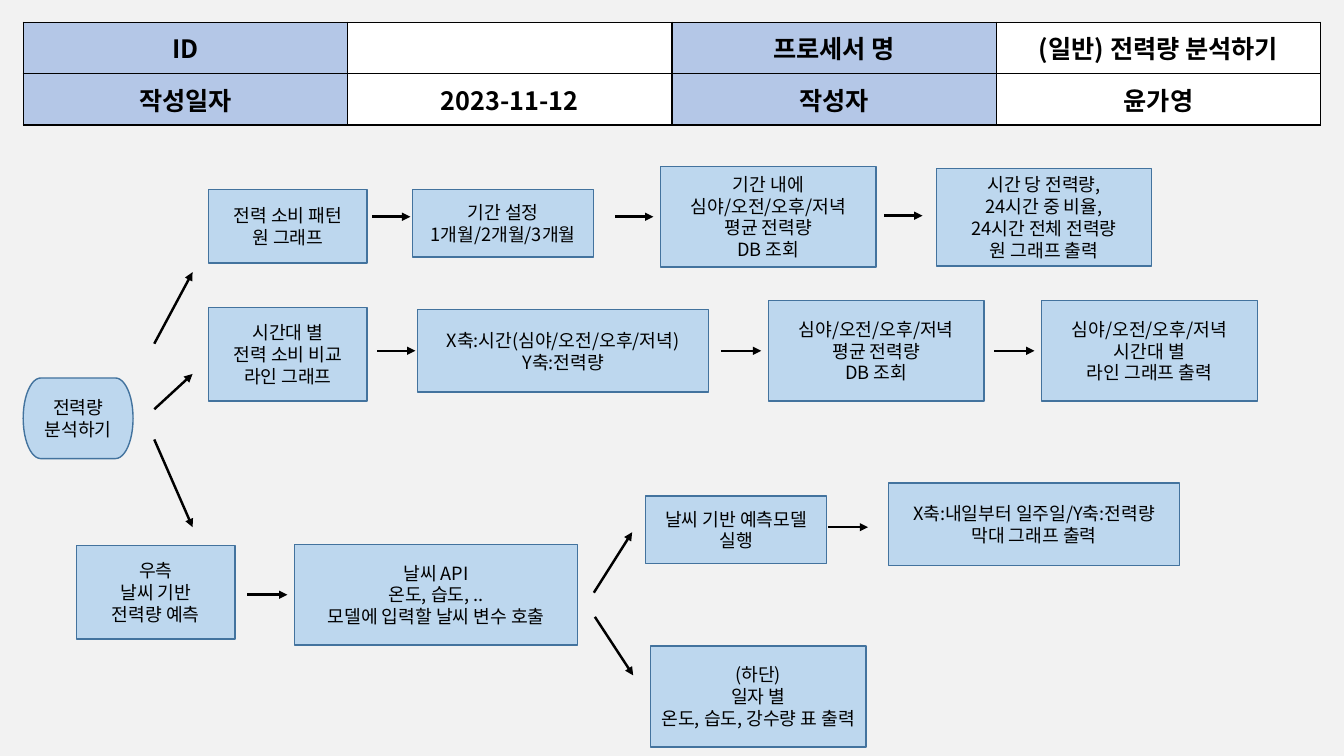
from pptx import Presentation
from pptx.dml.color import RGBColor
from pptx.enum.shapes import MSO_CONNECTOR, MSO_SHAPE
from pptx.enum.text import MSO_ANCHOR, PP_ALIGN
from pptx.oxml import parse_xml
from pptx.oxml.ns import nsdecls, qn
from pptx.util import Inches, Pt


def rgb(color):
    return RGBColor.from_string(color)


def xml(tag, attributes="", inner=""):
    return parse_xml(f'<a:{tag} {nsdecls("a")} {attributes}>{inner}</a:{tag}>')


class FlowSlide:
    """Hold the diagram style and the current slide, and draw its elements."""

    FONT = "Noto Sans CJK KR"
    INK, PAPER, BACKGROUND = "000000", "FFFFFF", "F2F2F2"
    HEADER, BOX, OUTLINE = "B4C7E7", "BDD7EE", "43739E"

    def __init__(self, presentation):
        self.slide = presentation.slides.add_slide(presentation.slide_layouts[6])
        fill = self.slide.background.fill
        fill.solid()
        fill.fore_color.rgb = rgb(self.BACKGROUND)

    def set_text(self, frame, text, size, bold=False):
        frame.word_wrap = True
        for index, line in enumerate(text.split("\n")):
            paragraph = frame.add_paragraph() if index else frame.paragraphs[0]
            paragraph.alignment = PP_ALIGN.CENTER
            run = paragraph.add_run()
            run.text = line
            font = run.font
            font.name, font.size, font.bold = self.FONT, Pt(size), bold
            font.color.rgb = rgb(self.INK)
            run._r.get_or_add_rPr().find(qn("a:latin")).addnext(
                xml("ea", f'typeface="{self.FONT}"'))

    def box(self, left, top, width, height, text, kind=MSO_SHAPE.RECTANGLE):
        shape = self.slide.shapes.add_shape(
            kind, Inches(left), Inches(top), Inches(width), Inches(height))
        shape.shadow.inherit = False
        shape.fill.solid()
        shape.fill.fore_color.rgb = rgb(self.BOX)
        shape.line.color.rgb = rgb(self.OUTLINE)
        shape.line.width = Pt(1)
        shape.text_frame.vertical_anchor = MSO_ANCHOR.MIDDLE
        self.set_text(shape.text_frame, text, 13)

    def arrow(self, x1, y1, x2, y2):
        line = self.slide.shapes.add_connector(
            MSO_CONNECTOR.STRAIGHT, Inches(x1), Inches(y1), Inches(x2), Inches(y2))
        line.line.color.rgb = rgb(self.INK)
        line.line.width = Pt(1.75)
        properties = line._element.spPr
        properties.find(qn("a:ln")).append(xml("tailEnd", 'type="triangle"'))
        properties.append(xml("effectLst"))

    def table(self, left, top, width, height, rows):
        table = self.slide.shapes.add_table(
            len(rows), len(rows[0]), Inches(left), Inches(top),
            Inches(width), Inches(height)).table
        for r, row in enumerate(rows):
            for c, text in enumerate(row):
                self.cell(table.cell(r, c), text, self.PAPER if c % 2 else self.HEADER)

    def cell(self, cell, text, color):
        cell.fill.solid()
        cell.fill.fore_color.rgb = rgb(color)
        cell.vertical_anchor = MSO_ANCHOR.MIDDLE
        if text:
            self.set_text(cell.text_frame, text, 18, bold=True)
        stroke = f'<a:solidFill><a:srgbClr val="{self.INK}"/></a:solidFill>'
        for index, side in enumerate(("lnL", "lnR", "lnT", "lnB")):
            cell._tc.get_or_add_tcPr().insert(
                index, xml(side, f'w="{Pt(1)}"', stroke))


HEADER_ROWS = [
    ("ID", "", "프로세서 명", "(일반) 전력량 분석하기"),
    ("작성일자", "2023-11-12", "작성자", "윤가영"),
]
PERIODS = "심야/오전/오후/저녁"
PIE_STEPS = [
    (2.07, 1.88, 1.57, 0.73, "전력 소비 패턴\n원 그래프"),
    (4.09, 1.88, 1.8, 0.67, "기간 설정\n1개월/2개월/3개월"),
    (6.55, 1.65, 2.14, 1, f"기간 내에\n{PERIODS}\n평균 전력량\nDB 조회"),
    (9.29, 1.67, 2.13, 0.97,
     "시간 당 전력량,\n24시간 중 비율,\n24시간 전체 전력량\n원 그래프 출력"),
]
LINE_STEPS = [
    (2.07, 3.05, 1.57, 0.93, "시간대 별\n전력 소비 비교\n라인 그래프"),
    (4.14, 3.07, 2.89, 0.82, f"X축:시간({PERIODS})\nY축:전력량"),
    (7.62, 2.98, 2.14, 1, f"{PERIODS}\n평균 전력량\nDB 조회"),
    (10.33, 2.98, 2.14, 1, f"{PERIODS}\n시간대 별\n라인 그래프 출력"),
]
FORECAST_STEPS = [
    (0.76, 5.41, 1.57, 0.93, "우측\n날씨 기반\n전력량 예측"),
    (2.92, 5.4, 2.81, 1, "날씨 API\n온도, 습도, ..\n모델에 입력할 날씨 변수 호출"),
    (6.4, 4.92, 1.8, 0.67, "날씨 기반 예측모델 실행"),
    (8.81, 4.79, 2.89, 0.82, "X축:내일부터 일주일/Y축:전력량\n막대 그래프 출력"),
    (6.45, 6.41, 2.14, 1, "(하단)\n일자 별\n온도, 습도, 강수량 표 출력"),
]
LEVEL_ARROWS = [
    (2.15, 0.38, (3.69, 6.1)),
    (2.14, 0.38, (8.77,)),
    (3.48, 0.38, (3.74,)),
    (3.48, 0.4, (7.15, 9.86)),
    (5.9, 0.4, (2.45,)),
    (5.23, 0.4, (8.21,)),
]
BRANCH_ARROWS = [
    (1.53, 3.41, 2.7), (1.53, 4.06, 3.71), (1.53, 4.36, 5.23),
    (5.89, 5.88, 5.28), (5.9, 6.12, 6.7),
]
BRANCH_RUN = 0.38

presentation = Presentation()
presentation.slide_width = Inches(13.33)
presentation.slide_height = Inches(7.5)

flow = FlowSlide(presentation)
flow.table(0.23, 0.22, 12.87, 1.02, HEADER_ROWS)
flow.box(0.23, 3.75, 1.09, 0.8, "전력량\n분석하기", MSO_SHAPE.FLOWCHART_TERMINATOR)
for step in PIE_STEPS + LINE_STEPS + FORECAST_STEPS:
    flow.box(*step)
for y, length, starts in LEVEL_ARROWS:
    for x in starts:
        flow.arrow(x, y, x + length, y)
for x, start_y, end_y in BRANCH_ARROWS:
    flow.arrow(x, start_y, x + BRANCH_RUN, end_y)

presentation.save("out.pptx")
